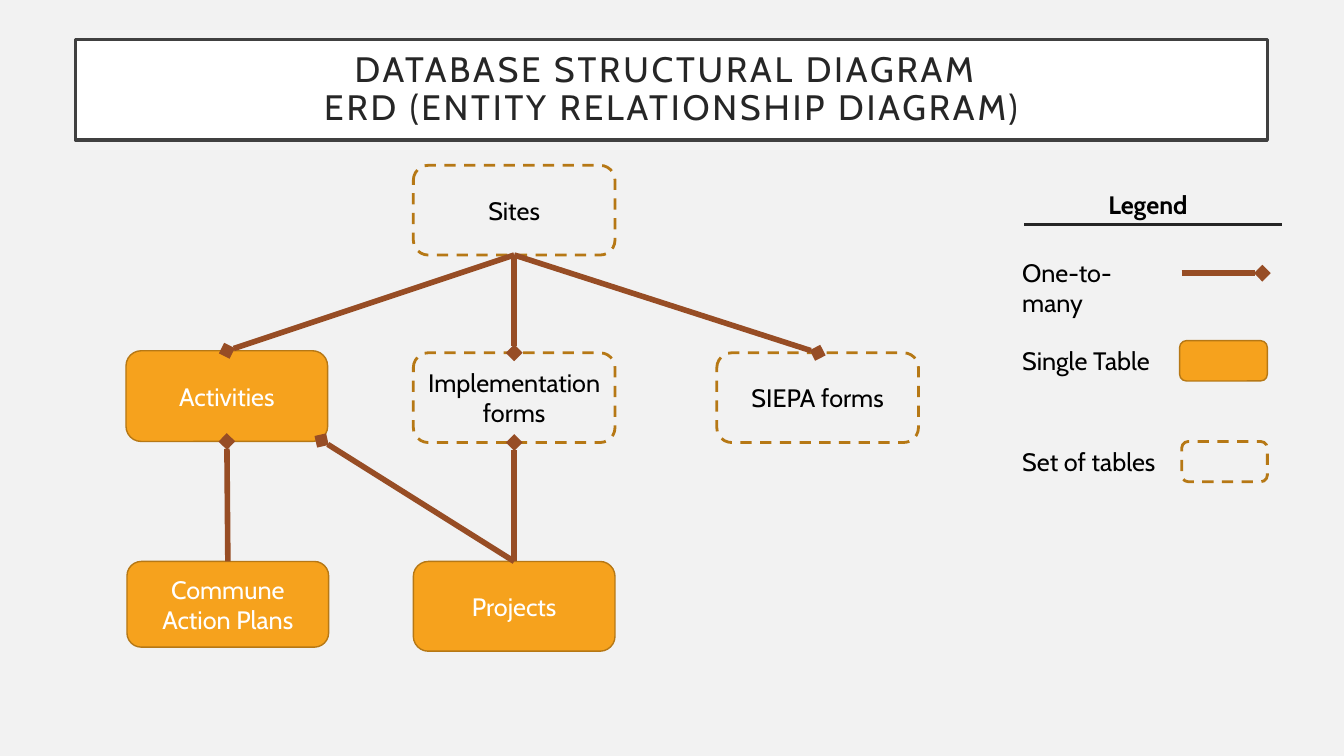
import dataclasses

import lxml.etree
import pptx
import pptx.dml.color
import pptx.enum.dml
import pptx.enum.shapes
import pptx.enum.text
import pptx.oxml.ns
import pptx.util

Inches = pptx.util.Inches
Shapes = pptx.enum.shapes.MSO_SHAPE
Align = pptx.enum.text.PP_ALIGN
TOP, BOTTOM = 0, 2


@dataclasses.dataclass
class Theme:
    font: str = "Cabin"
    title_size: float = 25.2
    body_size: float = 18
    background: str = "F2F2F2"
    white: str = "FFFFFF"
    black: str = "000000"
    dark: str = "262626"
    frame: str = "404040"
    orange: str = "F6A21D"
    outline: str = "B67815"
    relation: str = "974D25"


def color(code):
    return pptx.dml.color.RGBColor.from_string(code)


class DiagramPage:
    def __init__(self, page, theme):
        self.page = page
        self.theme = theme
        page.background.fill.solid()
        page.background.fill.fore_color.rgb = color(theme.background)

    def span(self, para, text, ink, size=None, bold=False):
        span = para.add_run()
        span.text = text
        span.font.name = self.theme.font
        span.font.size = pptx.util.Pt(size or self.theme.body_size)
        span.font.bold = bold
        span.font.color.rgb = color(ink)
        return span

    def shape(self, kind, place, fill, line, width):
        box = self.page.shapes.add_shape(kind, *map(Inches, place))
        box.shadow.inherit = False
        if fill:
            box.fill.solid()
            box.fill.fore_color.rgb = color(fill)
        else:
            box.fill.background()
        box.line.color.rgb = color(line)
        box.line.width = pptx.util.Pt(width)
        box.text_frame.word_wrap = True
        box.text_frame.vertical_anchor = pptx.enum.text.MSO_ANCHOR.MIDDLE
        box.text_frame.paragraphs[0].alignment = Align.CENTER
        return box

    def title(self, place, lines):
        theme = self.theme
        box = self.shape(Shapes.RECTANGLE, place, theme.white, theme.frame, 2.5)
        frame = box.text_frame
        frame.margin_left = frame.margin_right = Inches(0.2)
        frame.margin_top = frame.margin_bottom = Inches(0.2)
        para = frame.paragraphs[0]
        para.line_spacing = 0.9
        for index, text in enumerate(lines):
            if index:
                para.add_line_break()
            span = self.span(para, text, theme.dark, theme.title_size)
            span.font._element.set("spc", "200")

    def entity(self, place, text="", is_set=False):
        """A single table is filled; a set of tables has a dashed outline."""
        theme = self.theme
        box = self.shape(Shapes.ROUNDED_RECTANGLE, place,
                         None if is_set else theme.orange,
                         theme.outline, 2 if is_set else 1)
        if is_set:
            box.line.dash_style = pptx.enum.dml.MSO_LINE.DASH
        if text:
            ink = theme.black if is_set else theme.white
            self.span(box.text_frame.paragraphs[0], text, ink)
        return box

    def label(self, place, text, align=Align.LEFT, bold=False):
        box = self.page.shapes.add_textbox(*map(Inches, place))
        box.text_frame.word_wrap = True
        para = box.text_frame.paragraphs[0]
        para.alignment = align
        self.span(para, text, self.theme.black, bold=bold)

    def line(self, start, end, ink, width):
        line = self.page.shapes.add_connector(
            pptx.enum.shapes.MSO_CONNECTOR.STRAIGHT,
            *map(Inches, (*start, *end)))
        line.line.color.rgb = color(ink)
        line.line.width = pptx.util.Pt(width)
        lxml.etree.SubElement(line._element.spPr,
                              pptx.oxml.ns.qn("a:effectLst"))
        return line

    def relation(self, start=(0, 0), end=(0, 0), source=None, target=None):
        """One-to-many line; source and target are (box, side) pairs."""
        line = self.line(start, end, self.theme.relation, 4)
        if source:
            line.begin_connect(*source)
        if target:
            line.end_connect(*target)
        lxml.etree.SubElement(line.line._get_or_add_ln(),
                              pptx.oxml.ns.qn("a:tailEnd"), type="diamond")


def main():
    deck = pptx.Presentation()
    deck.slide_width, deck.slide_height = Inches(13.33), Inches(7.5)
    theme = Theme()
    page = DiagramPage(deck.slides.add_slide(deck.slide_layouts[6]), theme)

    page.title((0.75, 0.39, 11.82, 1),
               ["DATABASE STRUCTURAL DIAGRAM ",
                "ERD (ENTITY RELATIONSHIP DIAGRAM)"])

    # Entities
    plans = page.entity((1.26, 5.57, 2, 0.85), "Commune Action Plans")
    activities = page.entity((1.25, 3.48, 2, 0.9), "Activities")
    projects = page.entity((4.1, 5.57, 2, 0.89), "Projects")
    sites = page.entity((4.1, 1.64, 2, 0.89), "Sites", is_set=True)
    implementation = page.entity((4.1, 3.5, 2, 0.89),
                                 "Implementation forms", is_set=True)
    siepa = page.entity((7.11, 3.5, 2, 0.89), "SIEPA forms", is_set=True)

    # Relations between entities
    for child in (activities, implementation, siepa):
        page.relation(source=(sites, BOTTOM), target=(child, TOP))
    for source, target in ((plans, activities), (projects, implementation)):
        page.relation(source=(source, TOP), target=(target, BOTTOM))
    page.relation((5.1, 5.57), (3.19, 4.37), source=(projects, TOP))

    # Legend
    page.label((10.04, 1.83, 2.69, 0.4), "Legend", Align.CENTER, bold=True)
    page.line((10.16, 2.23), (12.72, 2.23), theme.dark, 2)
    for top, text in ((2.5, "One-to-many"), (3.38, "Single Table"),
                      (4.38, "Set of tables")):
        page.label((10.04, top, 1.57, 0.4), text)
    page.relation((11.72, 2.71), (12.52, 2.71))
    page.entity((11.7, 3.38, 0.87, 0.4))
    page.entity((11.72, 4.38, 0.85, 0.4), is_set=True)

    deck.save("out.pptx")


if __name__ == "__main__":
    main()
